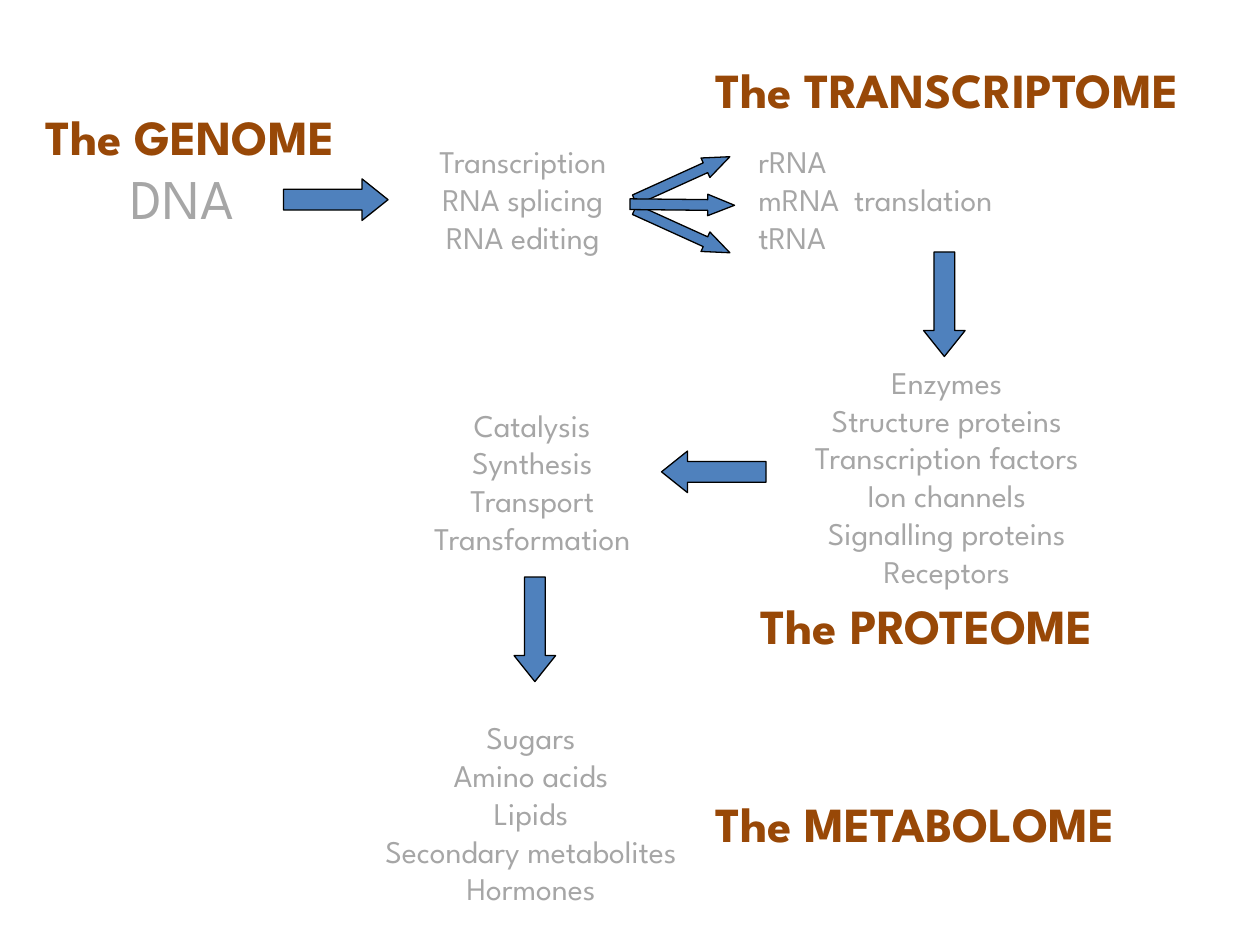
import pptx
import pptx.util
import pptx.dml.color
import pptx.enum.shapes
import pptx.enum.text
from lxml import etree
from pptx.util import Inches

RGB = pptx.dml.color.RGBColor
GRAY = RGB(0xA6, 0xA6, 0xA6)
BROWN = RGB(0x98, 0x48, 0x07)
BLUE = RGB(0x4F, 0x81, 0xBD)
BLACK = RGB(0, 0, 0)
ALIGN = pptx.enum.text.PP_ALIGN
ARROW = pptx.enum.shapes.MSO_SHAPE.RIGHT_ARROW
FONT = "League Spartan"
BODY = {"name": FONT, "size": pptx.util.Pt(18), "bold": False}
LARGE = {**BODY, "size": pptx.util.Pt(32)}
HEAD = {**BODY, "size": pptx.util.Pt(28), "bold": True}


def add_tab(para, pos):
    props = para._p.get_or_add_pPr()
    stops = etree.SubElement(props, pptx.oxml.ns.qn("a:tabLst"))
    etree.SubElement(stops, pptx.oxml.ns.qn("a:tab"), pos=str(pos), algn="l")


def add_text(slide, box, lines, style=BODY, color=GRAY, align=ALIGN.CENTER):
    frame = slide.shapes.add_textbox(*map(Inches, box)).text_frame
    frame.word_wrap = True
    for i, line in enumerate(lines):
        para = frame.add_paragraph() if i else frame.paragraphs[0]
        para.alignment = align
        if "\t" in line:
            add_tab(para, Inches(0.76))
        run = para.add_run()
        run.text = line
        for key, value in style.items():
            setattr(run.font, key, value)
        run.font.color.rgb = color


def add_head(slide, box, name):
    add_text(slide, box, [f"The {name}"], HEAD, BROWN, ALIGN.LEFT)


def add_arrow(slide, left, top, turn=0, thick=0.33):
    """Draw a block arrow in its unturned box, then turn it clockwise."""
    wide = 0.83
    shape = slide.shapes.add_shape(
        ARROW, *map(Inches, (left, top, wide, thick)))
    shape.adjustments[0] = 0.5
    shape.adjustments[1] = 0.625 if thick > 0.2 else 1.25
    shape.rotation = turn
    shape.shadow.inherit = False
    shape.fill.solid()
    shape.fill.fore_color.rgb = BLUE
    shape.line.color.rgb = BLACK
    shape.line.width = pptx.util.Pt(0.75)


def add_genome(slide, left, top):
    add_head(slide, (left, top, 2.78, 0.57), "GENOME")
    add_text(slide, (left + 0.68, top + 0.45, 1.19, 0.64), ["DNA"],
             LARGE, align=ALIGN.LEFT)
    add_arrow(slide, left + 1.99, top + 0.62)


def add_transcriptome(slide, left, top):
    row = top + 0.66
    add_text(slide, (left, row, 1.84, 1.01),
             ["Transcription", "RNA splicing", "RNA editing"])
    for drop, turn in ((0.25, -24.4), (0.67, 24.4), (0.46, 0.6)):
        add_arrow(slide, left + 1.77, row + drop, turn, 0.17)
    add_text(slide, (left + 2.69, row, 2.41, 1.01),
             ["rRNA", "mRNA\ttranslation", "tRNA"], align=ALIGN.LEFT)
    add_head(slide, (left + 2.35, top, 4.48, 0.57), "TRANSCRIPTOME")
    add_arrow(slide, left + 3.85, top + 1.83, 90)


def add_proteome(slide, left, top):
    add_text(slide, (left + 2.94, top, 2.77, 1.92),
             ["Enzymes", "Structure proteins", "Transcription factors",
              "Ion channels", "Signalling proteins", "Receptors"])
    add_head(slide, (left + 2.75, top + 1.85, 3.25, 0.57), "PROTEOME")
    add_arrow(slide, left + 2.06, top + 0.75, 180)
    add_text(slide, (left, top + 0.34, 2.07, 1.31),
             ["Catalysis", "Synthesis", "Transport", "Transformation"])
    add_arrow(slide, left + 0.64, top + 2, 90)


def add_metabolome(slide, left, top):
    add_text(slide, (left, top, 3.03, 1.62),
             ["Sugars", "Amino acids", "Lipids",
              "Secondary metabolites", "Hormones"])
    add_head(slide, (left + 2.88, top + 0.6, 3.81, 0.57), "METABOLOME")


def main():
    deck = pptx.Presentation()
    deck.slide_width, deck.slide_height = Inches(10), Inches(7.5)
    slide = deck.slides.add_slide(deck.slide_layouts[6])
    add_genome(slide, 0.26, 0.8)
    add_transcriptome(slide, 3.23, 0.42)
    add_proteome(slide, 3.19, 2.83)
    add_metabolome(slide, 2.7, 5.65)
    deck.save("out.pptx")


if __name__ == "__main__":
    main()
